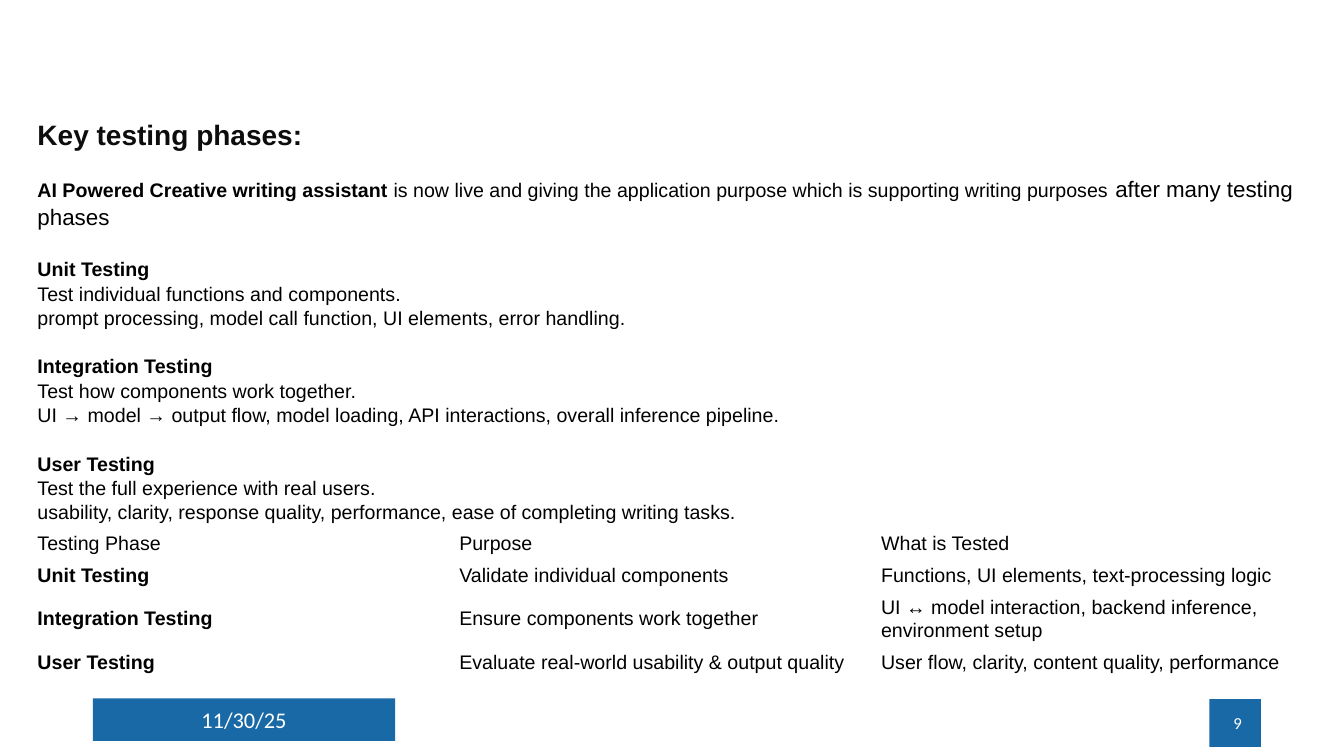
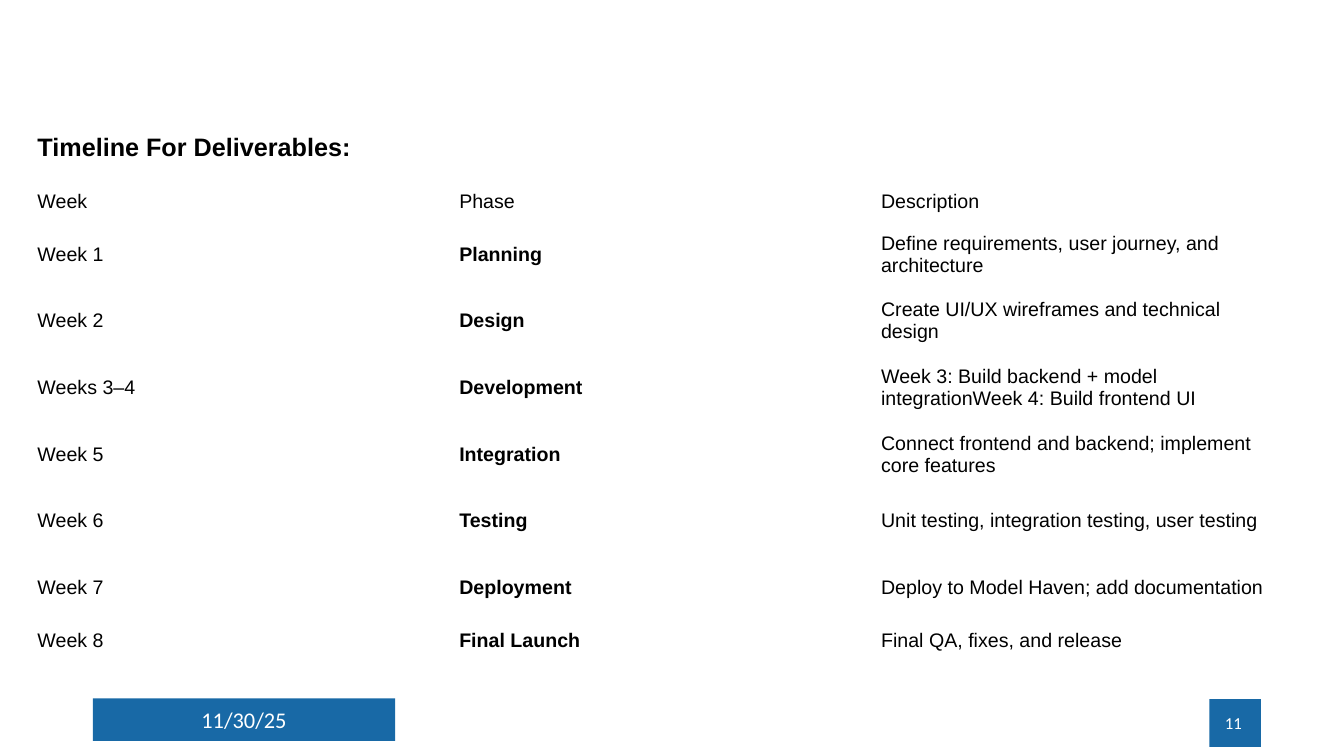
from lxml import etree
from pptx import Presentation
from pptx.dml.color import RGBColor
from pptx.enum.shapes import MSO_SHAPE
from pptx.enum.text import MSO_ANCHOR, MSO_AUTO_SIZE, PP_ALIGN
from pptx.oxml.ns import qn
from pptx.util import Cm, Pt

RECTANGLE = MSO_SHAPE.RECTANGLE
TOP, MIDDLE = MSO_ANCHOR.TOP, MSO_ANCHOR.MIDDLE
LEFT, CENTER, RIGHT = PP_ALIGN.LEFT, PP_ALIGN.CENTER, PP_ALIGN.RIGHT
NO_AUTOFIT = MSO_AUTO_SIZE.NONE

BLACK, INK, WHITE, BLUE = "000000", "0D0D0D", "FFFFFF", "1869A6"
TEXT_FONT, FOOTER_FONT = "Arial", "Calibri"
MARGIN, TEXT_WIDTH = 0.69, 32.4
COLUMN_WIDTH = 10.63
LINE_SPACING = 1.04
DATE = "11/30/25"
DATE_BAND = (2.34, 17.6, 7.62, 1.07)
NUMBER_BAND = (30.48, 17.62, 1.3, 1.2)

INTRO = [
    ("AI Powered Creative writing assistant ", 14, True),
    ("is now live and giving the application purpose which is "
     "supporting writing purposes", 14, False),
    (" after many testing phases", 16, False),
]
PHASE_NOTES = [
    ("Unit Testing", "Test individual functions and components.",
     "prompt processing, model call function, UI elements, error handling."),
    ("Integration Testing", "Test how components work together.",
     "UI → model → output flow, model loading, API interactions, "
     "overall inference pipeline."),
    ("User Testing", "Test the full experience with real users.",
     "usability, clarity, response quality, performance, "
     "ease of completing writing tasks."),
]
PHASE_ROWS = [
    ("Testing Phase", "Purpose", "What is Tested"),
    ("Unit Testing", "Validate individual components",
     "Functions, UI elements, text-processing logic"),
    ("Integration Testing", "Ensure components work together",
     "UI ↔ model interaction, backend inference, environment setup"),
    ("User Testing", "Evaluate real-world usability & output quality",
     "User flow, clarity, content quality, performance"),
]
TIMELINE_ROWS = [
    ("Week", "Phase", "Description"),
    ("Week 1", "Planning", "Define requirements, user journey, and architecture"),
    ("Week 2", "Design", "Create UI/UX wireframes and technical design"),
    ("Weeks 3–4", "Development",
     "Week 3: Build backend + model integrationWeek 4: Build frontend UI"),
    ("Week 5", "Integration",
     "Connect frontend and backend; implement core features"),
    ("Week 6", "Testing", "Unit testing, integration testing, user testing"),
    ("Week 7", "Deployment", "Deploy to Model Haven; add documentation"),
    ("Week 8", "Final Launch", "Final QA, fixes, and release"),
]


def colour(value):
    return RGBColor.from_string(value)


def set_all(target, values):
    for name, value in values.items():
        setattr(target, name, value)


def add_span(para, text, size, bold=False, ink=BLACK, font=TEXT_FONT):
    span = para.add_run()
    span.text = text
    set_all(span.font, {"name": font, "size": Pt(size), "bold": bold})
    span.font.color.rgb = colour(ink)


def place(shape, box):
    lengths = map(Cm, box)
    set_all(shape, dict(zip(("left", "top", "width", "height"), lengths)))


def format_frame(frame, anchor):
    set_all(frame, {"word_wrap": True, "auto_size": NO_AUTOFIT,
                    "vertical_anchor": anchor})


def format_para(para, before=0, after=0):
    set_all(para, {"alignment": LEFT, "line_spacing": LINE_SPACING,
                   "space_before": Pt(before), "space_after": Pt(after)})


def add_band(page, box, text, size, align, right_inset=0.25):
    band = page.shapes.add_shape(RECTANGLE, *map(Cm, box))
    band.shadow.inherit = False
    band.fill.solid()
    band.fill.fore_color.rgb = colour(BLUE)
    band.line.fill.background()
    frame = band.text_frame
    format_frame(frame, MIDDLE)
    set_all(frame, {"margin_left": 0, "margin_right": Cm(right_inset)})
    para = frame.paragraphs[0]
    para.alignment = align
    add_span(para, text, size, ink=WHITE, font=FOOTER_FONT)


def add_footer(page, number):
    add_band(page, DATE_BAND, DATE, 16, CENTER, right_inset=0)
    add_band(page, NUMBER_BAND, number, 12, RIGHT, right_inset=0.48)


def fill_title(page, box, text, size, ink):
    title = page.shapes.title
    place(title, box)
    format_frame(title.text_frame, TOP)
    para = title.text_frame.paragraphs[0]
    format_para(para)
    add_span(para, text, size, True, ink)


def add_plain_para(frame, spans, first=False, before=0, after=0):
    para = frame.paragraphs[0] if first else frame.add_paragraph()
    format_para(para, before, after)
    properties = para._p.get_or_add_pPr()
    properties.set("marL", "0")
    properties.set("indent", "0")
    etree.SubElement(properties, qn("a:buNone"))
    for text, size, bold in spans:
        add_span(para, text, size, bold)


def fill_phase_notes(page, box):
    body = page.placeholders[1]
    place(body, box)
    frame = body.text_frame
    format_frame(frame, TOP)
    add_plain_para(frame, INTRO, first=True, after=2)
    for heading, *lines in PHASE_NOTES:
        add_plain_para(frame, [(heading, 14, True)], before=17)
        for line in lines:
            add_plain_para(frame, [(line, 14, False)])


def add_plain_table(page, left, top, rows, heights, bold_column):
    columns = len(rows[0])
    graphic = page.shapes.add_table(
        len(rows), columns, Cm(left), Cm(top),
        Cm(columns * COLUMN_WIDTH), Cm(sum(heights)))
    table = graphic.table
    set_all(table, {"first_row": False, "horz_banding": False})
    for column in table.columns:
        column.width = Cm(COLUMN_WIDTH)
    for row_index, (texts, height) in enumerate(zip(rows, heights)):
        table.rows[row_index].height = Cm(height)
        for column_index, text in enumerate(texts):
            cell = table.cell(row_index, column_index)
            cell.fill.background()
            cell.vertical_anchor = MIDDLE
            bold = row_index > 0 and column_index == bold_column
            add_span(cell.text_frame.paragraphs[0], text, 14, bold)


def add_testing_page(deck):
    page = deck.slides.add_slide(deck.slide_layouts[1])
    add_footer(page, "9")
    fill_title(page, (MARGIN, 2.8, TEXT_WIDTH, 1.2),
               "Key testing phases:", 20, INK)
    fill_phase_notes(page, (MARGIN, 4.25, TEXT_WIDTH, 8.9))
    add_plain_table(page, MARGIN, 13.3, PHASE_ROWS, [0.8, 0.8, 1.36, 0.8], 0)


def add_timeline_page(deck):
    page = deck.slides.add_slide(deck.slide_layouts[5])
    add_footer(page, "11")
    fill_title(page, (MARGIN, 3.14, TEXT_WIDTH, 1.2),
               "Timeline For Deliverables:", 18, BLACK)
    add_plain_table(page, MARGIN, 4.57, TIMELINE_ROWS,
                    [1, *[1.68] * 6, 1], 1)


def main():
    deck = Presentation()
    set_all(deck, {"slide_width": Cm(33.87), "slide_height": Cm(19.05)})
    add_testing_page(deck)
    add_timeline_page(deck)
    deck.save("out.pptx")


if __name__ == "__main__":
    main()
